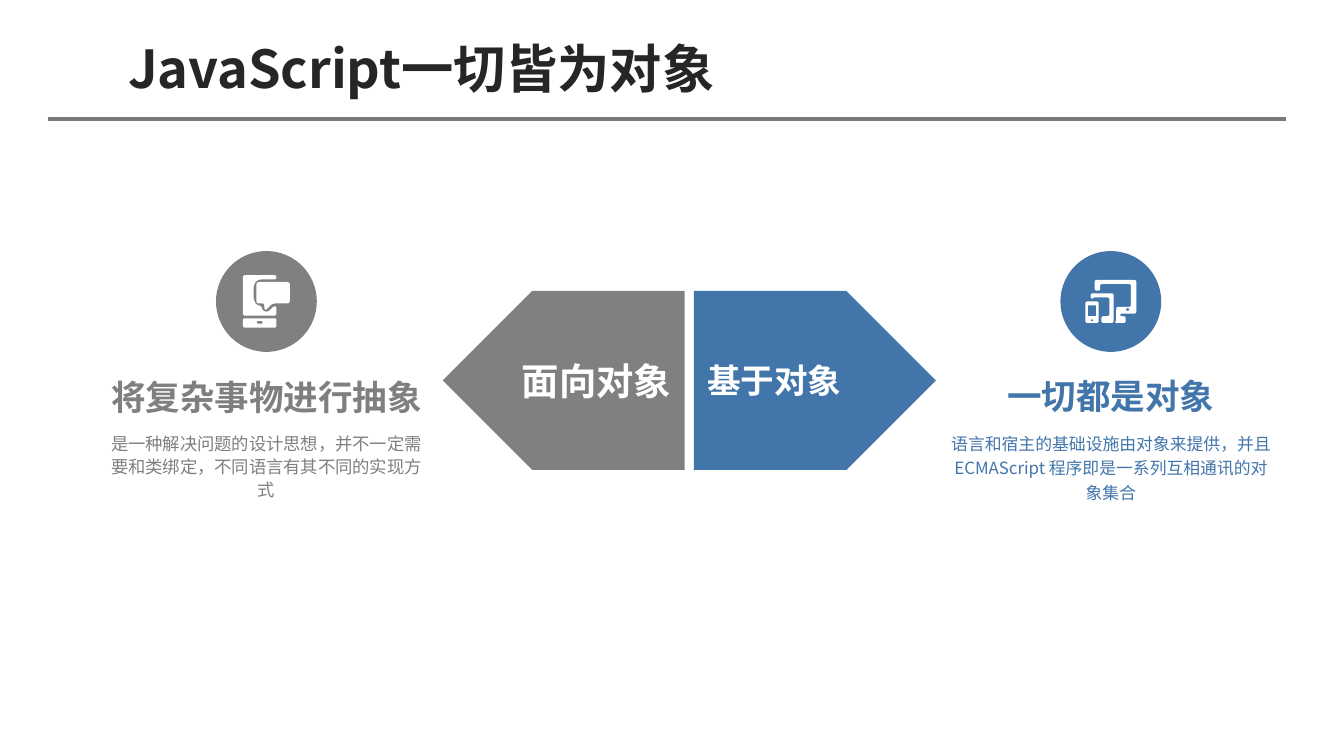
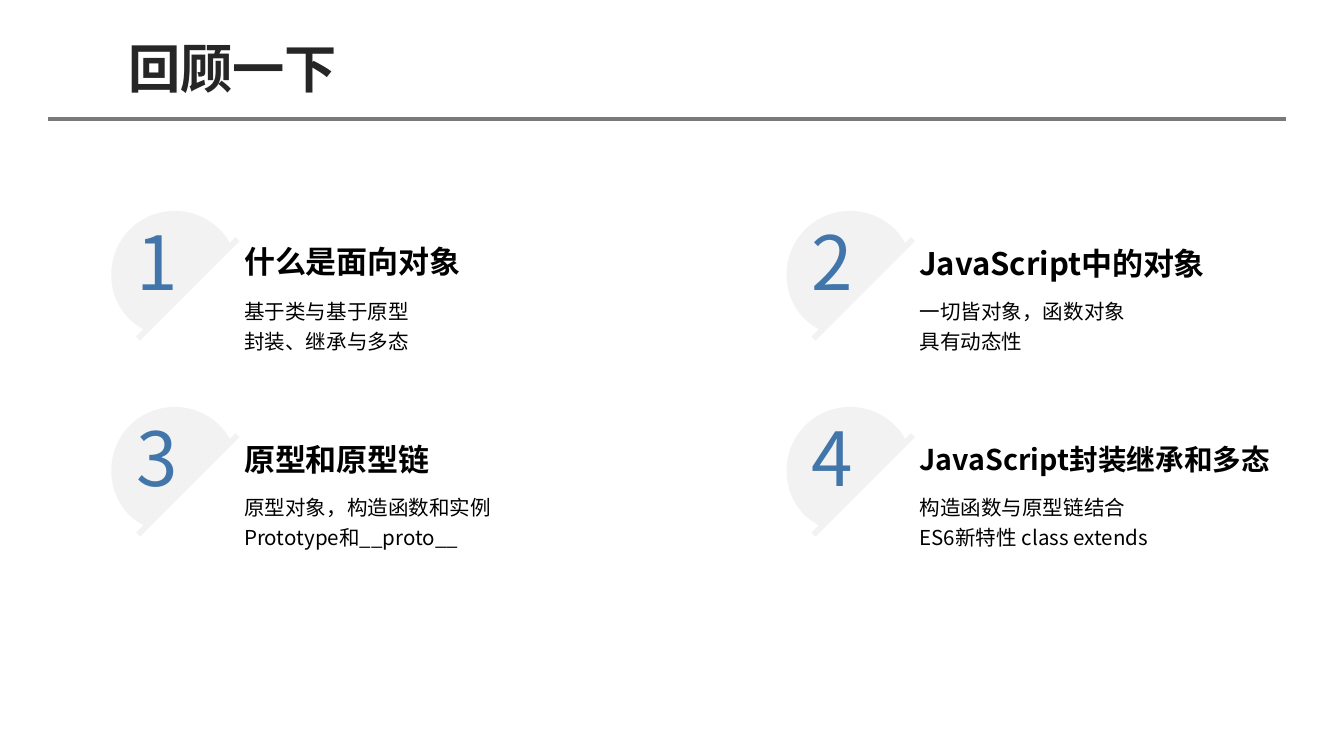
from math import hypot

from lxml.etree import SubElement
from pptx import Presentation
from pptx.dml.color import RGBColor
from pptx.enum.shapes import MSO_CONNECTOR, MSO_SHAPE
from pptx.enum.text import MSO_ANCHOR, PP_ALIGN
from pptx.oxml.ns import qn
from pptx.util import Pt

FONT = "Noto Sans CJK SC"
INK, RULE, GRAY, TEXT_GRAY = "262626", "797979", "808080", "7F7F7F"
BLUE, PALE, WHITE, BLACK = "4276AA", "F2F2F2", "FFFFFF", "000000"
GRID = 0.72

PHONE_ICON = {
    "size": (35, 39),
    "outlines": [
        (1, [(10, 34), (15, 34), (15, 36), (10, 36)]),
        (1, [(0, 32), (25, 32), (25, 39), (0, 39)]),
        (4, [(10, 5), (35, 5), (35, 21), (22, 21), (17, 26), (16, 25), (16, 21), (10, 21)]),
        (1, [(0, 0), (25, 0), (25, 3), (14, 3), (10, 4), (8, 8), (8, 18), (10, 22),
             (14, 23), (14, 25), (16, 27), (19, 27), (23, 23), (25, 23), (25, 30), (0, 30)]),
    ],
}
DEVICES_ICON = {
    "size": (38, 32),
    "outlines": [
        (1, [(4, 29), (6, 29), (6, 31), (4, 31)]),
        (1, [(30, 21), (33, 21), (33, 23), (30, 23)]),
        (0, [(2, 19), (8, 19), (8, 27), (2, 27)]),
        (1, [(0, 16), (10, 16), (10, 32), (0, 32)]),
        (1, [(4, 10), (21, 10), (21, 32), (12, 32), (12, 27), (18, 27), (18, 13),
             (6, 13), (6, 14), (4, 14)]),
        (3, [(7, 0), (38, 0), (38, 25), (26, 25), (26, 27), (30, 27), (30, 32),
             (22, 32), (23, 30), (23, 20), (34, 20), (34, 3), (11, 3), (11, 8), (7, 8)]),
    ],
}
BADGE = [
    [(47.5, 0)],
    [(63, 0), (78, 8), (86.5, 21)],
    [(89, 25.5)],
    [(25.5, 89)],
    [(20.5, 86)],
    [(8, 78), (0, 64), (0, 47.5)],
    [(0, 21), (21, 0), (47.5, 0)],
]

CONCEPTS_TITLE = "JavaScript一切皆为对象"
CONCEPTS = [
    {"label": "基于对象", "label_size": 18, "arrow_left": 371.8, "flip": False,
     "fill": BLUE, "color": BLUE, "icon": DEVICES_ICON,
     "left": 501.5, "top": 200.9, "width": 187.2, "heading": "一切都是对象",
     "body": "语言和宿主的基础设施由对象来提供，并且 ECMAScript 程序即是一系列互相通讯的对象集合",
     "body_size": 9, "spacing": 1.2},
    {"label": "面向对象", "label_size": 20, "arrow_left": 237.2, "flip": True,
     "fill": GRAY, "color": TEXT_GRAY, "icon": PHONE_ICON,
     "left": 48.4, "top": 201.4, "width": 188.6, "heading": "将复杂事物进行抽象",
     "body": "是一种解决问题的设计思想，并不一定需要和类绑定，不同语言有其不同的实现方式",
     "body_size": 9.3, "spacing": 1.1},
]

REVIEW_TITLE = "回顾一下"
REVIEW = [
    ("什么是面向对象", 16.6, ["基于类与基于原型", "封装、继承与多态"]),
    ("JavaScript中的对象", 16.6, ["一切皆对象，函数对象", "具有动态性"]),
    ("原型和原型链", 16.6, ["原型对象，构造函数和实例", "Prototype和__proto__"]),
    ("JavaScript封装继承和多态", 15.3, ["构造函数与原型链结合", "ES6新特性 class extends"]),
]


def rgb(color):
    return RGBColor.from_string(color)


def paint(shape, color):
    shape.shadow.inherit = False
    shape.fill.solid()
    shape.fill.fore_color.rgb = rgb(color)
    shape.line.fill.background()


def write(shape, lines, size, color, bold=False, align=PP_ALIGN.LEFT,
          anchor=MSO_ANCHOR.TOP, spacing=1.0, wrap=True):
    frame = shape.text_frame
    frame.text = "\n".join(lines)
    frame.word_wrap = wrap
    frame.vertical_anchor = anchor
    for para in frame.paragraphs:
        para.alignment = align
        para.line_spacing = spacing
        for span in para.runs:
            span.font.name = FONT
            span.font.size = Pt(size)
            span.font.bold = bold
            span.font.color.rgb = rgb(color)
    for properties in shape.element.iter(qn("a:rPr")):
        SubElement(properties, qn("a:ea"), typeface=FONT)


def add_text(page, left, top, width, height, lines, size, color, **style):
    box = page.shapes.add_textbox(Pt(left), Pt(top), Pt(width), Pt(height))
    write(box, lines, size, color, **style)


def add_line(page, start, end, color, weight):
    ends = [Pt(value) for value in (*start, *end)]
    line = page.shapes.add_connector(MSO_CONNECTOR.STRAIGHT, *ends)
    line.line.color.rgb = rgb(color)
    line.line.width = Pt(weight)
    SubElement(line.element.spPr, qn("a:effectLst"))


def add_outlines(page, outlines, left, top, color):
    fine = 100
    scaled = [[[(x * fine, y * fine) for x, y in step] for step in outline]
              for outline in outlines]
    builder = page.shapes.build_freeform(*scaled[0][0][0], scale=Pt(GRID) / fine)
    for index, outline in enumerate(scaled):
        if index:
            builder.move_to(*outline[0][0])
        builder.add_line_segments([point for step in outline[1:] for point in step], close=True)
    shape = builder.convert_to_shape(Pt(left), Pt(top))
    segments = iter(list(shape.element.iter(qn("a:lnTo"))))
    for outline in outlines:
        for step in outline[1:]:
            group = [next(segments) for _ in step]
            if len(group) == 3:
                curve = group[0].makeelement(qn("a:cubicBezTo"))
                group[0].addprevious(curve)
                for segment in group:
                    curve.append(segment[0])
                    segment.getparent().remove(segment)
    paint(shape, color)


def round_corners(radius, corners):
    if not radius:
        return [[corner] for corner in corners]
    steps = []
    for index, (x, y) in enumerate(corners):
        tangents = []
        for near_x, near_y in (corners[index - 1], corners[(index + 1) % len(corners)]):
            share = min(radius / hypot(near_x - x, near_y - y), 0.5)
            tangents.append((x + (near_x - x) * share, y + (near_y - y) * share))
        start, end = tangents
        steps += [[start], [(x, y), (x, y), end]]
    return steps


def add_icon(page, icon, center_x, center_y):
    width, height = icon["size"]
    outlines = [round_corners(*outline) for outline in icon["outlines"]]
    add_outlines(page, outlines, center_x - width * GRID / 2,
                 center_y - height * GRID / 2, WHITE)


def add_page(deck, title):
    page = deck.slides.add_slide(deck.slide_layouts[5])
    add_line(page, (25.5, 63.7), (689, 63.7), RULE, 2.25)
    heading = page.shapes.title
    heading.left, heading.top, heading.width, heading.height = Pt(25.4), Pt(17), Pt(663.1), Pt(38.9)
    write(heading, ["\t" + title], 28, INK, bold=True, anchor=MSO_ANCHOR.MIDDLE)
    return page


def add_arrow(page, concept):
    arrow = page.shapes.add_shape(MSO_SHAPE.PENTAGON, Pt(concept["arrow_left"]), Pt(155.9),
                                  Pt(129.6), Pt(95.8))
    paint(arrow, concept["fill"])
    flip = concept["flip"]
    if flip:
        arrow.element.spPr.find(qn("a:xfrm")).set("flipH", "1")
    write(arrow, [concept["label"]], concept["label_size"], WHITE, bold=True,
          align=PP_ALIGN.RIGHT if flip else PP_ALIGN.LEFT,
          anchor=MSO_ANCHOR.MIDDLE, wrap=not flip)


def add_emblem(page, concept):
    center, middle, diameter = concept["left"] + concept["width"] / 2, 161.5, 54
    disc = page.shapes.add_shape(MSO_SHAPE.OVAL, Pt(center - diameter / 2),
                                 Pt(middle - diameter / 2), Pt(diameter), Pt(diameter))
    paint(disc, concept["fill"])
    add_icon(page, concept["icon"], center, middle)


def add_explanation(page, concept):
    left, top, width = concept["left"], concept["top"], concept["width"]
    add_text(page, left, top + 25.9, width, 33.1, [concept["body"]], concept["body_size"],
             concept["color"], align=PP_ALIGN.CENTER, spacing=concept["spacing"])
    add_text(page, left, top, width, 25.9, [concept["heading"]], 18.5, concept["color"],
             bold=True, align=PP_ALIGN.CENTER, anchor=MSO_ANCHOR.MIDDLE, spacing=0.8)


def add_review_item(page, index, heading, size, lines):
    row, column = divmod(index, 2)
    left, top = 59.6 + 361.8 * column, 113 + 105 * row
    add_outlines(page, [BADGE], left, top, PALE)
    add_line(page, (left + 67.7, top + 15.1), (left + 14.4, top + 68.4), PALE, 3)
    add_text(page, left, top - 1, 49, 55.4, [str(index + 1)], 40, BLUE,
             align=PP_ALIGN.CENTER, anchor=MSO_ANCHOR.MIDDLE)
    add_text(page, left + 64.1, top + 41.1, 214.6, 45.4, lines, 11, BLACK, spacing=1.2)
    add_text(page, left + 64.1, top + 15.1, 214.6, 25.9, [heading], size, BLACK,
             bold=True, anchor=MSO_ANCHOR.MIDDLE, spacing=1.0 if index else 0.9)


def main():
    deck = Presentation()
    deck.slide_width, deck.slide_height = Pt(720), Pt(405)
    page = add_page(deck, CONCEPTS_TITLE)
    for add_part in (add_arrow, add_emblem):
        for concept in CONCEPTS:
            add_part(page, concept)
    for concept in reversed(CONCEPTS):
        add_explanation(page, concept)
    page = add_page(deck, REVIEW_TITLE)
    for index, item in enumerate(REVIEW):
        add_review_item(page, index, *item)
    deck.save("out.pptx")


if __name__ == "__main__":
    main()
